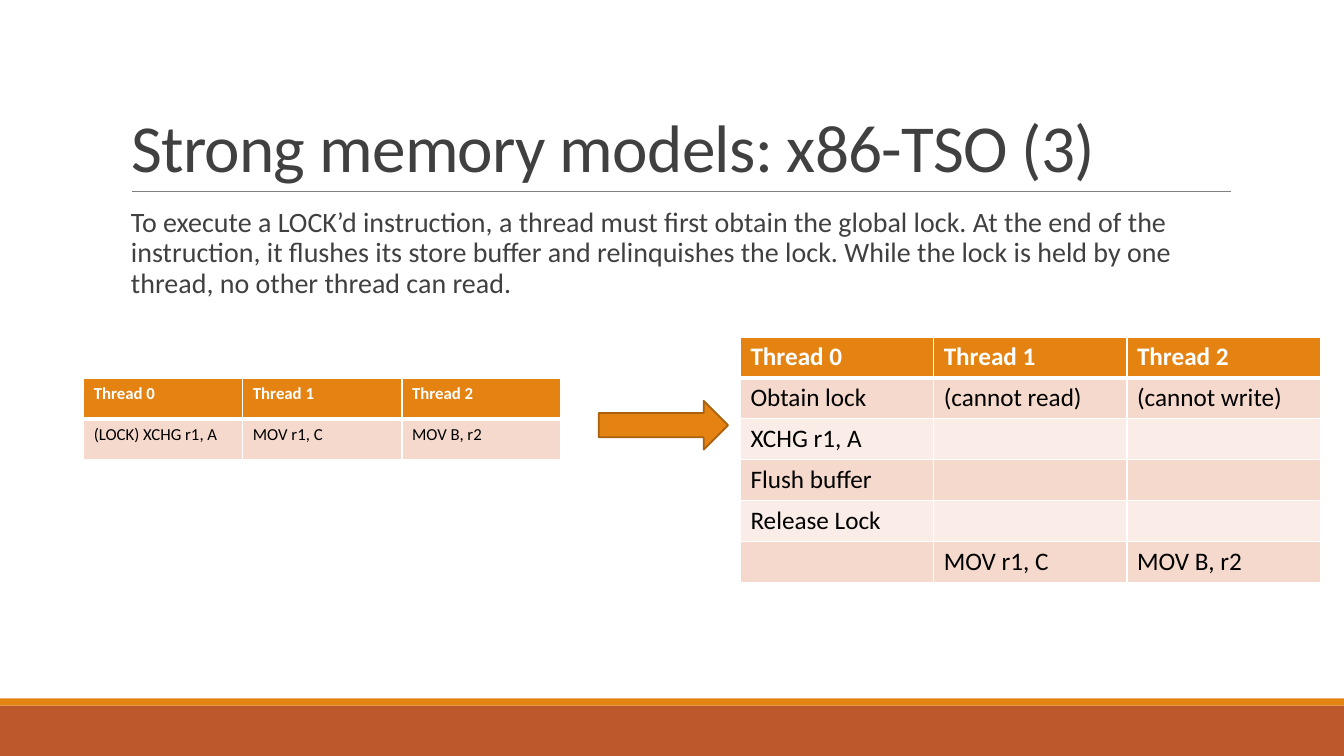
from dataclasses import dataclass

from lxml import etree
from pptx import Presentation
from pptx.dml.color import RGBColor
from pptx.enum import shapes, text
from pptx.oxml import ns
from pptx.util import Cm, Emu, Pt


@dataclass(frozen=True)
class Theme:
    font: str = "Calibri"
    orange: str = "E48312"
    rust: str = "BD582C"
    arrow_edge: str = "A9610D"
    ink: str = "404040"
    rule: str = "808080"
    white: str = "FFFFFF"
    black: str = "000000"
    bands: tuple[str, str] = ("F5D9CC", "FAEDE7")
    title_size: float = 48
    body_size: float = 20
    small_size: float = 12
    table_size: float = 18


@dataclass(frozen=True)
class Block:
    kind: shapes.MSO_SHAPE
    left: float
    top: float
    width: float
    height: float
    fill: str
    edge: str | None = None


@dataclass(frozen=True)
class Schedule:
    left: float
    top: float
    column_width: float
    size: float
    steps: list[tuple[str, str, str]]


THEME = Theme()
SLIDE_WIDTH, SLIDE_HEIGHT = 33.87, 19.05
ROW_HEIGHT = 1.03
THREADS = ("Thread 0", "Thread 1", "Thread 2")

BLOCKS = [
    Block(shapes.MSO_SHAPE.RECTANGLE, 0, 17.78, SLIDE_WIDTH, 1.27, THEME.rust),
    Block(shapes.MSO_SHAPE.RECTANGLE, 0, 17.6, SLIDE_WIDTH, 0.18, THEME.orange),
    Block(shapes.MSO_SHAPE.RIGHT_ARROW, 15.09, 10.1, 3.26, 1.23, THEME.orange, THEME.arrow_edge),
]

SCHEDULES = [
    Schedule(2.11, 9.53, 4.01, THEME.small_size, [
        ("(LOCK) XCHG r1, A", "MOV r1, C", "MOV B, r2"),
    ]),
    Schedule(18.66, 8.49, 4.87, THEME.table_size, [
        ("Obtain lock", "(cannot read)", "(cannot write)"),
        ("XCHG r1, A", "", ""),
        ("Flush buffer", "", ""),
        ("Release Lock", "", ""),
        ("", "MOV r1, C", "MOV B, r2"),
    ]),
]


def rgb(value: str) -> RGBColor:
    return RGBColor.from_string(value)


def write(frame, words: str, *, size: float, color: str, bold: bool = False,
          line_spacing: float = 1.0, tracking: float = 0) -> None:
    """Fill a text frame with one left-aligned paragraph; tracking is in points."""
    paragraph = frame.paragraphs[0]
    paragraph.alignment = text.PP_ALIGN.LEFT
    paragraph.line_spacing = line_spacing
    paragraph.font.size = Pt(size)
    if not words:
        return
    run = paragraph.add_run()
    run.text = words
    run.font.name = THEME.font
    run.font.size = Pt(size)
    run.font.bold = bold
    run.font.color.rgb = rgb(color)
    if tracking:
        run.font._element.set("spc", str(round(tracking * 100)))


def draw_block(slide, block: Block) -> None:
    shape = slide.shapes.add_shape(
        block.kind, Cm(block.left), Cm(block.top), Cm(block.width), Cm(block.height))
    shape.shadow.inherit = False
    shape.fill.solid()
    shape.fill.fore_color.rgb = rgb(block.fill)
    if block.edge:
        shape.line.color.rgb = rgb(block.edge)
        shape.line.width = Pt(1.25)
    else:
        shape.line.fill.background()


def set_borders(cell, bottom: float) -> None:
    """White 1 pt borders, with the bottom width in points."""
    properties = cell._tc.get_or_add_tcPr()
    for place, (side, width) in enumerate({"L": 1, "R": 1, "T": 1, "B": bottom}.items()):
        line = etree.Element(ns.qn(f"a:ln{side}"), w=str(Pt(width)))
        fill = etree.SubElement(line, ns.qn("a:solidFill"))
        etree.SubElement(fill, ns.qn("a:srgbClr"), val=THEME.white)
        properties.insert(place, line)


def draw_schedule(slide, schedule: Schedule) -> None:
    rows = [THREADS, *schedule.steps]
    table = slide.shapes.add_table(
        len(rows), len(THREADS), Cm(schedule.left), Cm(schedule.top),
        Cm(schedule.column_width * len(THREADS)), Cm(ROW_HEIGHT * len(rows))).table
    for column in table.columns:
        column.width = Cm(schedule.column_width)
    for r, row in enumerate(rows):
        table.rows[r].height = Cm(ROW_HEIGHT)
        header = r == 0
        for c, words in enumerate(row):
            cell = table.cell(r, c)
            cell.fill.solid()
            cell.fill.fore_color.rgb = rgb(THEME.orange if header else THEME.bands[(r - 1) % 2])
            set_borders(cell, bottom=3 if header else 1)
            write(cell.text_frame, words, size=schedule.size, bold=header,
                  color=THEME.white if header else THEME.black)


def draw_title(slide, words: str) -> None:
    title = slide.shapes.title
    title.left, title.top, title.width, title.height = Cm(3.05), Cm(0.79), Cm(27.94), Cm(4.04)
    frame = title.text_frame
    frame.word_wrap = True
    frame.auto_size = text.MSO_AUTO_SIZE.NONE
    frame.vertical_anchor = text.MSO_ANCHOR.BOTTOM
    write(frame, words, size=THEME.title_size, color=THEME.ink, line_spacing=0.85, tracking=-0.5)


def draw_rule(slide) -> None:
    rule = slide.shapes.add_connector(
        shapes.MSO_CONNECTOR.STRAIGHT, Cm(3.33), Cm(4.83), Cm(31.01), Cm(4.83))
    rule.line.color.rgb = rgb(THEME.rule)
    rule.line.width = Pt(0.5)
    etree.SubElement(rule._element.spPr, ns.qn("a:effectLst"))


def draw_explanation(slide, words: str) -> None:
    frame = slide.shapes.add_textbox(Cm(3.05), Cm(5.13), Cm(27.94), Cm(11.18)).text_frame
    frame.word_wrap = True
    frame.margin_left, frame.margin_right = Cm(0.25), Emu(0)
    write(frame, words, size=THEME.body_size, color=THEME.ink, line_spacing=0.9)


def main() -> None:
    deck = Presentation()
    deck.slide_width, deck.slide_height = Cm(SLIDE_WIDTH), Cm(SLIDE_HEIGHT)
    slide = deck.slides.add_slide(deck.slide_layouts.get_by_name("Title Only"))
    for block in BLOCKS:
        draw_block(slide, block)
    draw_rule(slide)
    draw_title(slide, "Strong memory models: x86-TSO (3)")
    draw_explanation(
        slide,
        "To execute a LOCK’d instruction, a thread must first obtain the global lock. "
        "At the end of the instruction, it flushes its store buffer and relinquishes the lock. "
        "While the lock is held by one thread, no other thread can read.")
    for schedule in SCHEDULES:
        draw_schedule(slide, schedule)
    deck.save("out.pptx")


if __name__ == "__main__":
    main()
